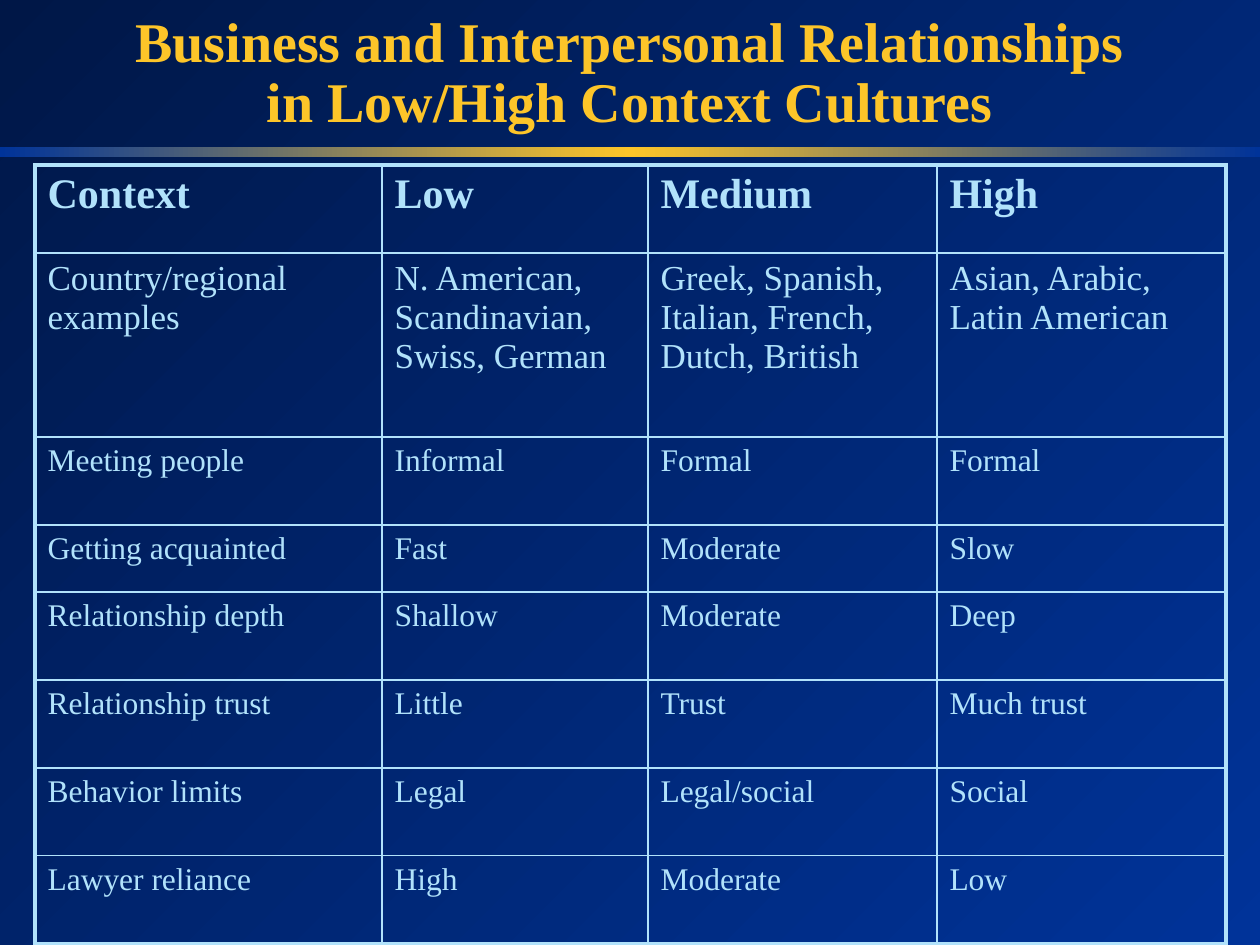
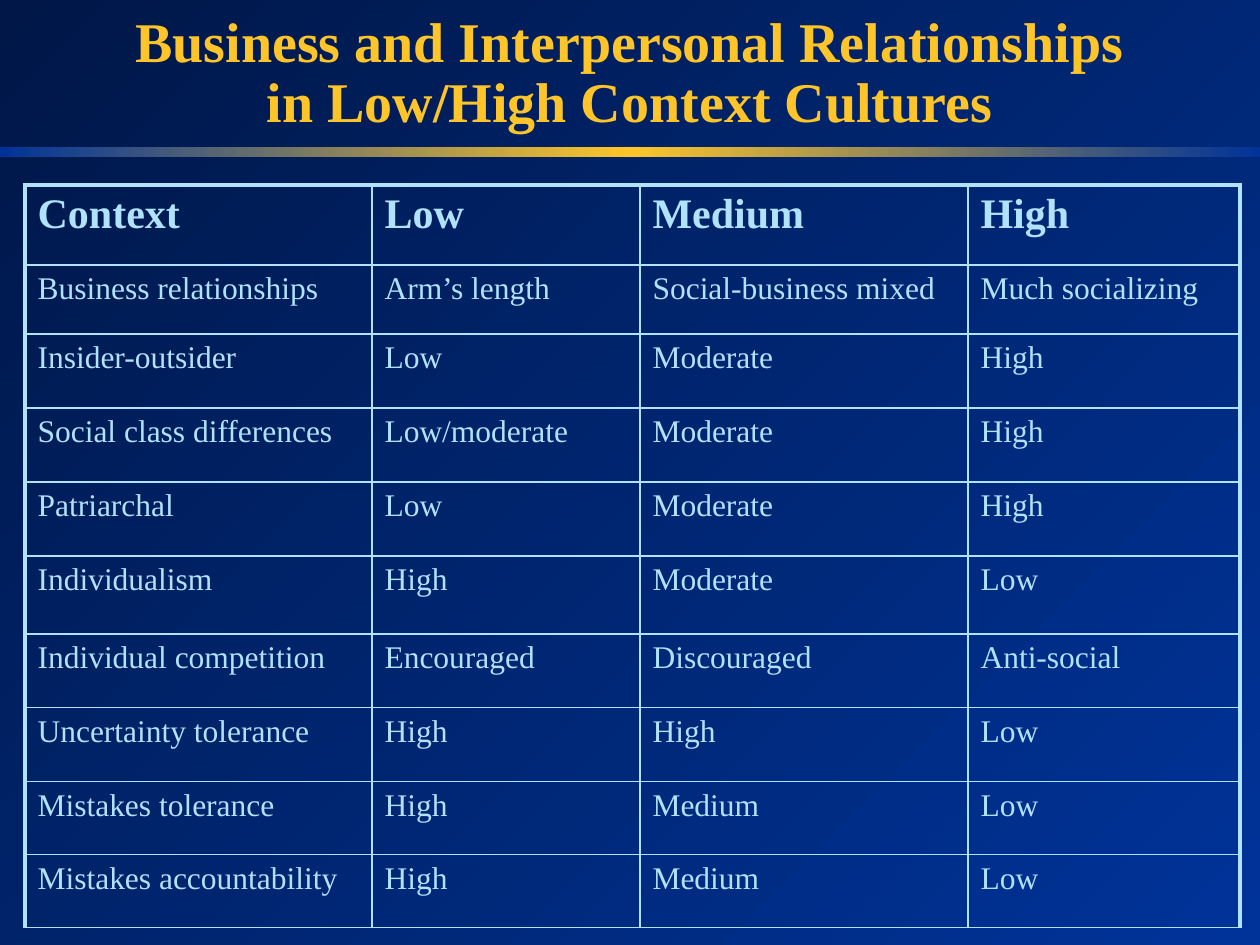
from lxml import etree
from pptx import Presentation
from pptx.dml.color import RGBColor
from pptx.enum.shapes import MSO_SHAPE
from pptx.enum.text import MSO_ANCHOR, PP_ALIGN
from pptx.oxml.ns import qn
from pptx.util import Pt

RECTANGLE = MSO_SHAPE.RECTANGLE
MIDDLE = MSO_ANCHOR.MIDDLE
CENTER = PP_ALIGN.CENTER

EMU_PER_PX = 914400 / 126
SLIDE_WIDTH, SLIDE_HEIGHT = 1260, 945
BLANK_LAYOUT = 6
FONT = "Times New Roman"
COLORS = {"night": "001747", "blue": "003399", "gold": "FDC529", "ice": "B1E2FB"}
THIN, THICK = 1, 2.25
HEADER_SIZE, LARGE_SIZE, BODY_SIZE = 24, 20, 18

TITLE = "Business and Interpersonal Relationships\vin Low/High Context Cultures"
TITLE_BOX = (0, 6, SLIDE_WIDTH, 136)
BAND_BOX = (0, 147, SLIDE_WIDTH, 10)
HEADER = ("Context", "Low", "Medium", "High")

RELATIONSHIPS = {
    "origin": (35, 165),
    "columns": (347, 266, 289, 289),
    "heights": (88, 184, 88, 67, 88, 88, 88, 88),
    "large_rows": (1,),
    "bottom": THICK,
    "rows": (
        HEADER,
        ("Country/regional examples", "N. American, Scandinavian, Swiss, German",
         "Greek, Spanish, Italian, French, Dutch, British", "Asian, Arabic, Latin American"),
        ("Meeting people", "Informal", "Formal", "Formal"),
        ("Getting acquainted", "Fast", "Moderate", "Slow"),
        ("Relationship depth", "Shallow", "Moderate", "Deep"),
        ("Relationship trust", "Little", "Trust", "Much trust"),
        ("Behavior limits", "Legal", "Legal/social", "Social"),
        ("Lawyer reliance", "High", "Moderate", "Low"),
    ),
}
SOCIETY = {
    "origin": (25, 185),
    "columns": (347, 268, 328, 272),
    "heights": (80, 69, 74, 74, 74, 78, 74, 74, 73, 73),
    "large_rows": (),
    "bottom": THIN,
    "rows": (
        HEADER,
        ("Business relationships", "Arm’s length", "Social-business mixed", "Much socializing"),
        ("Insider-outsider", "Low", "Moderate", "High"),
        ("Social class differences", "Low/moderate", "Moderate", "High"),
        ("Patriarchal", "Low", "Moderate", "High"),
        ("Individualism", "High", "Moderate", "Low"),
        ("Individual competition", "Encouraged", "Discouraged", "Anti-social"),
        ("Uncertainty tolerance", "High", "High", "Low"),
        ("Mistakes tolerance", "High", "Medium", "Low"),
        ("Mistakes accountability", "High", "Medium", "Low"),
    ),
}


def px(length):
    return round(length * EMU_PER_PX)


def scaled(box):
    return [px(length) for length in box]


def style_font(font, size, color, bold):
    font.name = FONT
    font.size = Pt(size)
    font.bold = bold
    font.color.rgb = RGBColor.from_string(COLORS[color])


def set_gradient(fill, element, colors, angle):
    """Spread the named colours evenly along a linear gradient."""
    fill.gradient()
    fill.gradient_angle = angle
    stops = element.find(".//" + qn("a:gsLst"))
    for stop in list(stops):
        stops.remove(stop)
    for index, color in enumerate(colors):
        position = 100000 * index // (len(colors) - 1)
        stop = etree.SubElement(stops, qn("a:gs"), pos=str(position))
        etree.SubElement(stop, qn("a:srgbClr"), val=COLORS[color])


def set_borders(cell, widths):
    properties = cell._tc.get_or_add_tcPr()
    for side, width in widths.items():
        line = etree.SubElement(properties, qn("a:ln" + side), w=str(Pt(width)))
        fill = etree.SubElement(line, qn("a:solidFill"))
        etree.SubElement(fill, qn("a:srgbClr"), val=COLORS["ice"])


def add_band(slide, box):
    band = slide.shapes.add_shape(RECTANGLE, *scaled(box))
    band.shadow.inherit = False
    band.line.fill.background()
    set_gradient(band.fill, band.element, ("blue", "gold", "blue"), 0)


def add_title(slide, box):
    text_frame = slide.shapes.add_textbox(*scaled(box)).text_frame
    text_frame.word_wrap = True
    text_frame.vertical_anchor = MIDDLE
    text_frame.text = TITLE
    paragraph = text_frame.paragraphs[0]
    paragraph.alignment = CENTER
    paragraph.line_spacing = Pt(34)
    for run in paragraph.runs:
        style_font(run.font, 32, "gold", True)


def add_context_table(slide, content):
    columns, heights, rows = content["columns"], content["heights"], content["rows"]
    box = (*content["origin"], sum(columns), sum(heights))
    table = slide.shapes.add_table(len(rows), len(columns), *scaled(box)).table
    table.first_row = table.horz_banding = False
    for column, width in zip(table.columns, columns):
        column.width = px(width)
    for row, height in zip(table.rows, heights):
        row.height = px(height)

    last_row, last_column = len(rows) - 1, len(columns) - 1
    for row_index, texts in enumerate(rows):
        is_header = row_index == 0
        body_size = LARGE_SIZE if row_index in content["large_rows"] else BODY_SIZE
        size = HEADER_SIZE if is_header else body_size
        for column_index, text in enumerate(texts):
            cell = table.cell(row_index, column_index)
            cell.text_frame.text = text
            style_font(cell.text_frame.paragraphs[0].runs[0].font, size, "ice", is_header)
            # Heavy lines only along the outside of the table
            set_borders(cell, {
                "L": THICK if column_index == 0 else THIN,
                "R": THICK if column_index == last_column else THIN,
                "T": THICK if is_header else THIN,
                "B": content["bottom"] if row_index == last_row else THIN,
            })
            cell.fill.background()


def add_context_slide(presentation, content):
    slide = presentation.slides.add_slide(presentation.slide_layouts[BLANK_LAYOUT])
    set_gradient(slide.background.fill, slide.element, ("night", "blue"), 315)
    add_band(slide, BAND_BOX)
    add_title(slide, TITLE_BOX)
    add_context_table(slide, content)


def main():
    presentation = Presentation()
    presentation.slide_width = px(SLIDE_WIDTH)
    presentation.slide_height = px(SLIDE_HEIGHT)
    for content in (RELATIONSHIPS, SOCIETY):
        add_context_slide(presentation, content)
    presentation.save("out.pptx")


if __name__ == "__main__":
    main()
